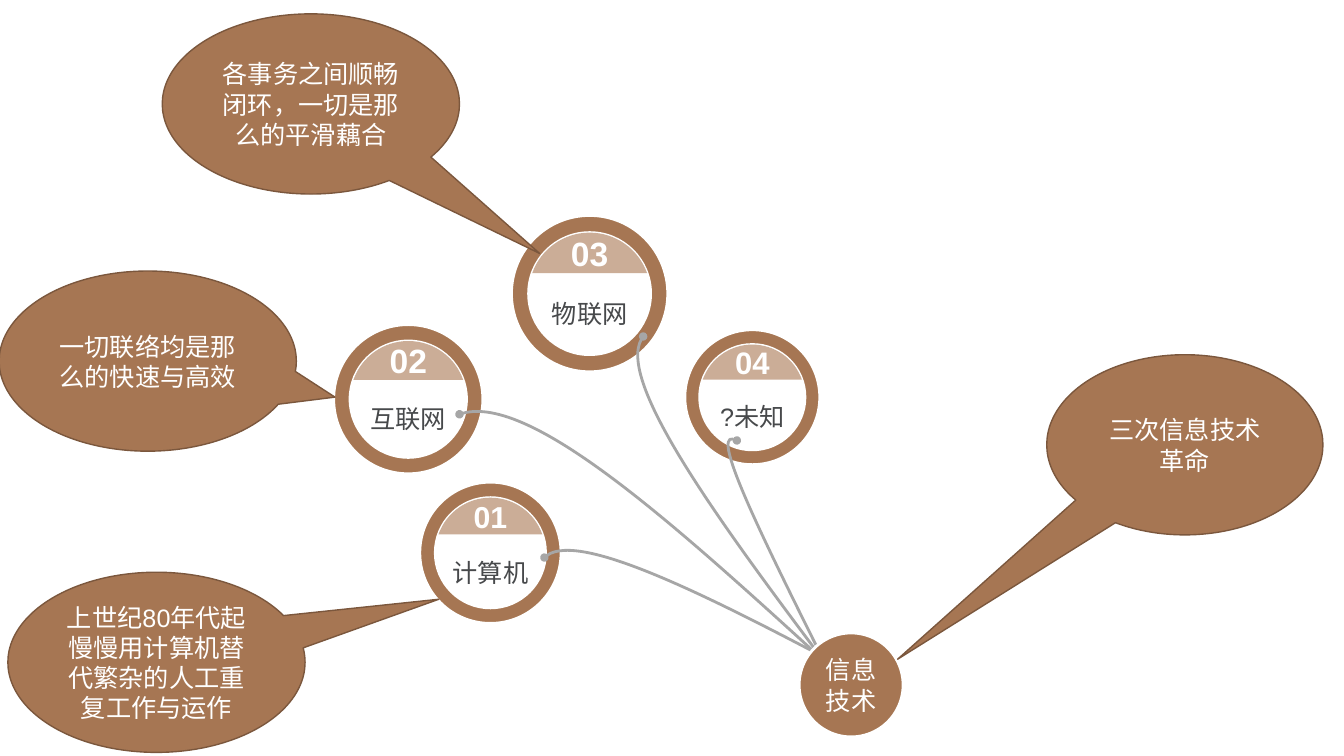
import math

from lxml import etree
from pptx import Presentation
from pptx import util as u
from pptx.dml.color import RGBColor
from pptx.enum import shapes, text
from pptx.oxml import ns

BROWN = RGBColor(0xA6, 0x76, 0x53)
DARK_BROWN = RGBColor(0x7B, 0x57, 0x3D)
TAN = RGBColor(0xCB, 0xAD, 0x97)
GREY = RGBColor(0xA6, 0xA6, 0xA6)
INK = RGBColor(0x47, 0x49, 0x4B)
WHITE = RGBColor(0xFF, 0xFF, 0xFF)

FONT = "Arial"
RING_SHARE = 0.11
CAP_SHARE = 0.26

STAGES = [
    ("01", "计算机", 12.36, 13.93, 3.56, 21.6),
    ("03", "物联网", 14.86, 7.4, 3.94, 24),
    ("02", "互联网", 10.29, 10.06, 3.76, 24),
    ("04", "?未知", 18.96, 10.01, 3.4, 22.2),
]
BRANCHES = [
    [(21.46, 17.58), (18.44, 13.58), (15.39, 9.53), (16.21, 8.48)],
    [(22.07, 17.25), (18.29, 15.24), (14.5, 13.26), (13.72, 14.05)],
    [(20.83, 16.71), (17.07, 13.28), (13.28, 9.83), (11.58, 10.44)],
    [(20.83, 16.79), (19.3, 13.72), (17.78, 10.67), (18.57, 11.1)],
]
REMARKS = [
    ("上世纪80年代起慢慢用计算机替代繁杂的人工重复工作与运作", 0.2, 14.42, 7.49, (0.95, -0.35)),
    ("一切联络均是那么的快速与高效", -0.02, 6.83, 7.49, (0.63, 0.2)),
    ("各事务之间顺畅闭环，一切是那么的平滑藕合", 4.09, 0.35, 7.49, (0.77, 0.83)),
    ("三次信息技术革命", 26.38, 8.94, 6.96, (-1.04, 1.19)),
]
REMARK_HEIGHT = 4.54


def write(shape, words, size=18, color=WHITE, bold=False, margins=(0, 0, 0, 0)):
    frame = shape.text_frame
    frame.word_wrap = True
    frame.vertical_anchor = text.MSO_ANCHOR.MIDDLE
    frame.margin_left, frame.margin_top, frame.margin_right, frame.margin_bottom = map(u.Cm, margins)
    paragraph = frame.paragraphs[0]
    paragraph.alignment = text.PP_ALIGN.CENTER
    run = paragraph.add_run()
    run.text = words
    run.font.name = FONT
    run.font.size = u.Pt(size)
    run.font.bold = bold
    run.font.color.rgb = color


def paint(shape, fill=None, line=None, weight=2):
    shape.shadow.inherit = False
    if fill is None:
        shape.fill.background()
    else:
        shape.fill.solid()
        shape.fill.fore_color.rgb = fill
    if line is None:
        shape.line.fill.background()
    else:
        shape.line.color.rgb = line
        shape.line.width = u.Pt(weight)


def add_preset(slide, preset, left, top, width, height, adjustments=(), **look):
    shape = slide.shapes.add_shape(preset, u.Cm(left), u.Cm(top), u.Cm(width), u.Cm(height))
    for index, value in enumerate(adjustments):
        shape.adjustments[index] = value
    paint(shape, **look)
    return shape


def add_curves(slide, contours, closed=True, **look):
    contours = [[(u.Cm(x), u.Cm(y)) for x, y in contour] for contour in contours]
    builder = slide.shapes.build_freeform(*contours[0][0])
    for index, contour in enumerate(contours):
        if index:
            builder.move_to(*contour[0])
        builder.add_line_segments(contour[1:], close=closed)
    outline = builder.convert_to_shape()
    segments = list(outline._element.iter(ns.qn("a:lnTo")))
    for first in range(0, len(segments), 3):
        curve = etree.Element(ns.qn("a:cubicBezTo"))
        segments[first].addprevious(curve)
        for segment in segments[first:first + 3]:
            curve.append(segment[0])
            segment.getparent().remove(segment)
    paint(outline, **look)
    return outline


def arc(x, y, radius, start, end, pieces):
    step = (end - start) / pieces
    handle = 4 / 3 * math.tan(step / 4)

    def on_arc(angle, pull=0):
        return (x + radius * (math.sin(angle) + pull * math.cos(angle)),
                y - radius * (math.cos(angle) - pull * math.sin(angle)))

    points = [on_arc(start)]
    for piece in range(pieces):
        angle = start + piece * step
        points += [on_arc(angle, handle), on_arc(angle + step, -handle), on_arc(angle + step)]
    return points


def add_stage(slide, number, label, x, y, diameter, number_size):
    radius = diameter * (0.5 - RING_SHARE)
    circles = [arc(x, y, r, 0, 2 * math.pi, 4) for r in (radius, diameter / 2)]
    ring = add_curves(slide, circles, fill=BROWN, line=WHITE)
    write(ring, label, color=INK, margins=(0.61, 0.99, 0.61, 0))
    half_angle = math.acos(1 - CAP_SHARE * diameter / radius)
    cap = add_curves(slide, [arc(x, y, radius, -half_angle, half_angle, 2)], fill=TAN)
    write(cap, number, size=number_size, bold=True)


def add_branch(slide, controls):
    branch = add_curves(slide, [controls], closed=False, line=GREY)
    stroke = branch.line._get_or_add_ln()
    for end in ("a:headEnd", "a:tailEnd"):
        etree.SubElement(stroke, ns.qn(end), type="oval")


def add_remark(slide, words, left, top, width, pointer):
    remark = add_preset(slide, shapes.MSO_SHAPE.OVAL_CALLOUT, left, top, width, REMARK_HEIGHT,
                        pointer, fill=BROWN, line=DARK_BROWN, weight=1)
    write(remark, words, margins=(0.25, 0.13, 0.25, 0.13))


def main():
    deck = Presentation()
    deck.slide_width, deck.slide_height = u.Cm(33.87), u.Cm(19.05)
    slide = deck.slides.add_slide(deck.slide_layouts[6])
    for first in (0, 2):
        for stage in STAGES[first:first + 2]:
            add_stage(slide, *stage)
        for controls in BRANCHES[first:first + 2]:
            add_branch(slide, controls)
    hub = add_preset(slide, shapes.MSO_SHAPE.OVAL, 20.14, 15.95, 2.62, 2.62, fill=BROWN, line=WHITE)
    write(hub, "信息技术")
    for remark in REMARKS:
        add_remark(slide, *remark)
    deck.save("out.pptx")


if __name__ == "__main__":
    main()
